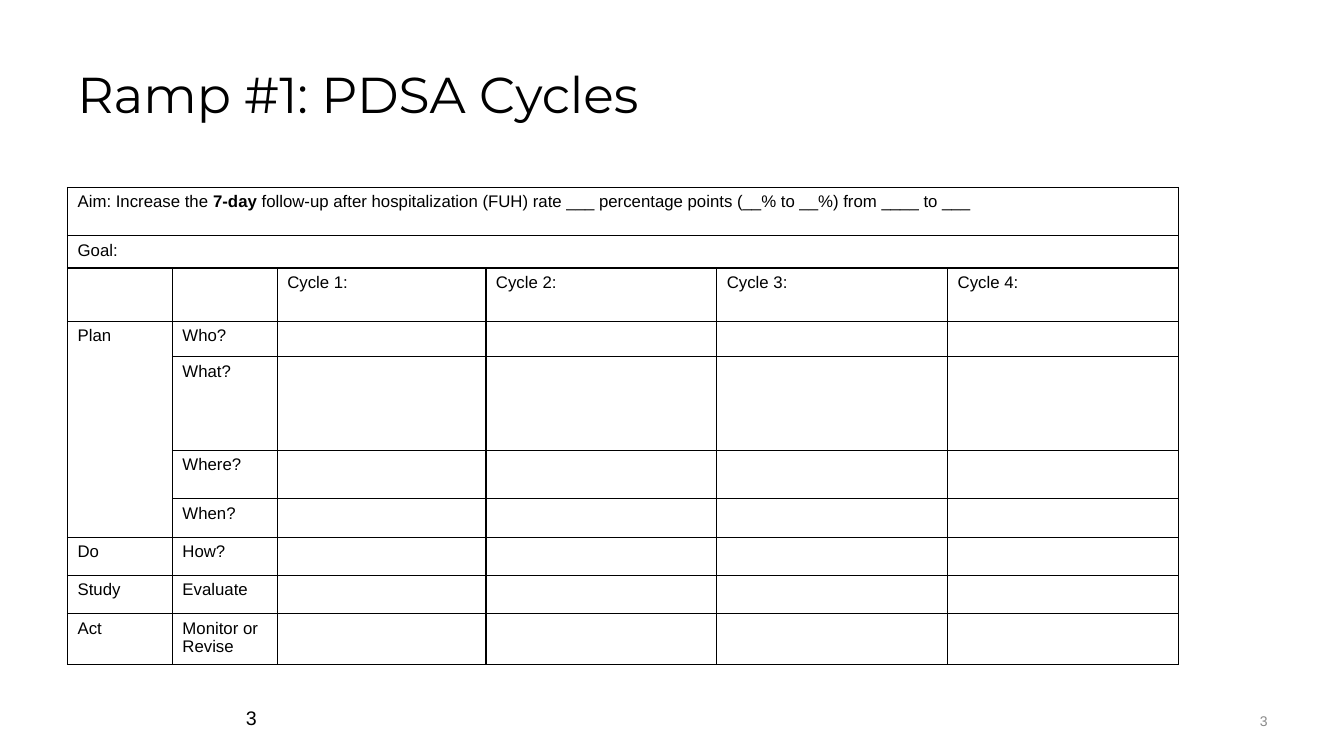
from lxml.etree import SubElement
from pptx import Presentation
from pptx.dml.color import RGBColor
from pptx.enum.text import MSO_ANCHOR, PP_ALIGN
from pptx.oxml import parse_xml
from pptx.oxml.ns import nsdecls, qn
from pptx.util import Inches, Pt

COLORS = {"ink": "000000", "muted": "898989", "paper": "FFFFFF"}
BODY_FONT = "Arial"
TITLE_FONT = "Montserrat"
CELL_SIZE = 12

COLUMN_WIDTHS = [1.04, 1.04, 2.07, 2.29, 2.29, 2.29]
ROW_HEIGHTS = [0.48, 0.32, 0.53, 0.35, 0.93, 0.48, 0.38, 0.38, 0.38, 0.48]
AIM = [
    ("Aim: Increase the ", False),
    ("7-day", True),
    (" follow-up after hospitalization (FUH) rate ___ percentage points "
     "(__% to __%) from ____ to ___", False),
]
CYCLE_ROWS = [
    [AIM],
    ["Goal:"],
    ["", "", "Cycle 1:", "Cycle 2:", "Cycle 3:", "Cycle 4:"],
    ["Plan", "Who?"],
    ["", "What?"],
    ["", "Where?"],
    ["", "When?"],
    ["Do", "How?"],
    ["Study", "Evaluate"],
    ["Act", "Monitor or Revise"],
]
# First and last cell of each merged block, as (row, column)
MERGES = [((0, 0), (0, 5)), ((1, 0), (1, 5)), ((3, 0), (6, 0))]


class SlideBuilder:
    def __init__(self, slide):
        self.slide = slide

    def style(self, paragraph, size, font=BODY_FONT, color="ink"):
        paragraph.font.size = Pt(size)
        paragraph.font.name = font
        paragraph.font.color.rgb = RGBColor.from_string(COLORS[color])

    def text(self, content, left, top, width, height, size, font=BODY_FONT,
             color="ink", anchor=MSO_ANCHOR.MIDDLE, align=PP_ALIGN.LEFT):
        box = self.slide.shapes.add_textbox(
            Inches(left), Inches(top), Inches(width), Inches(height))
        frame = box.text_frame
        frame.word_wrap = True
        frame.vertical_anchor = anchor
        paragraph = frame.paragraphs[0]
        paragraph.text = content
        paragraph.alignment = align
        self.style(paragraph, size, font, color)

    def border(self, cell):
        """Draw a 1 pt line on all four sides of the cell."""
        properties = cell._tc.get_or_add_tcPr()
        for index, side in enumerate(("lnL", "lnR", "lnT", "lnB")):
            properties.insert(index, parse_xml(
                f'<a:{side} {nsdecls("a")} w="{Pt(1)}"><a:solidFill>'
                f'<a:srgbClr val="{COLORS["ink"]}"/></a:solidFill></a:{side}>'))

    def fill_cell(self, cell, content):
        """Write a plain string or a list of (text, bold) runs."""
        cell.fill.solid()
        cell.fill.fore_color.rgb = RGBColor.from_string(COLORS["paper"])
        self.border(cell)
        paragraph = cell.text_frame.paragraphs[0]
        self.style(paragraph, CELL_SIZE)
        if not content:
            # Keeps an empty cell from growing to the default text size
            SubElement(paragraph._p, qn("a:endParaRPr"), sz=str(CELL_SIZE * 100))
        elif isinstance(content, str):
            paragraph.add_run().text = content
        else:
            for words, bold in content:
                run = paragraph.add_run()
                run.text = words
                run.font.bold = bold

    def table(self, rows, widths, heights, merges, left, top):
        table = self.slide.shapes.add_table(
            len(heights), len(widths), Inches(left), Inches(top),
            Inches(sum(widths)), Inches(sum(heights))).table
        table.first_row = False
        table.horz_banding = False
        for column, width in zip(table.columns, widths):
            column.width = Inches(width)
        for row, height, contents in zip(table.rows, heights, rows):
            row.height = Inches(height)
            padded = contents + [""] * (len(widths) - len(contents))
            for cell, content in zip(row.cells, padded):
                self.fill_cell(cell, content)
        for first, last in merges:
            table.cell(*first).merge(table.cell(*last))


def main():
    presentation = Presentation()
    presentation.slide_width = Inches(13.33)
    presentation.slide_height = Inches(7.5)
    builder = SlideBuilder(
        presentation.slides.add_slide(presentation.slide_layouts[6]))

    builder.text("Ramp #1: PDSA Cycles", 0.67, 0.3, 12, 1.25, 36, TITLE_FONT)
    builder.text("3", 2.34, 6.95, 2.17, 0.4, 14, anchor=MSO_ANCHOR.TOP)
    builder.text("3", 9.56, 6.95, 3.11, 0.4, 10, color="muted",
                 align=PP_ALIGN.RIGHT)
    builder.table(CYCLE_ROWS, COLUMN_WIDTHS, ROW_HEIGHTS, MERGES, 0.67, 1.86)

    presentation.save("out.pptx")


if __name__ == "__main__":
    main()
